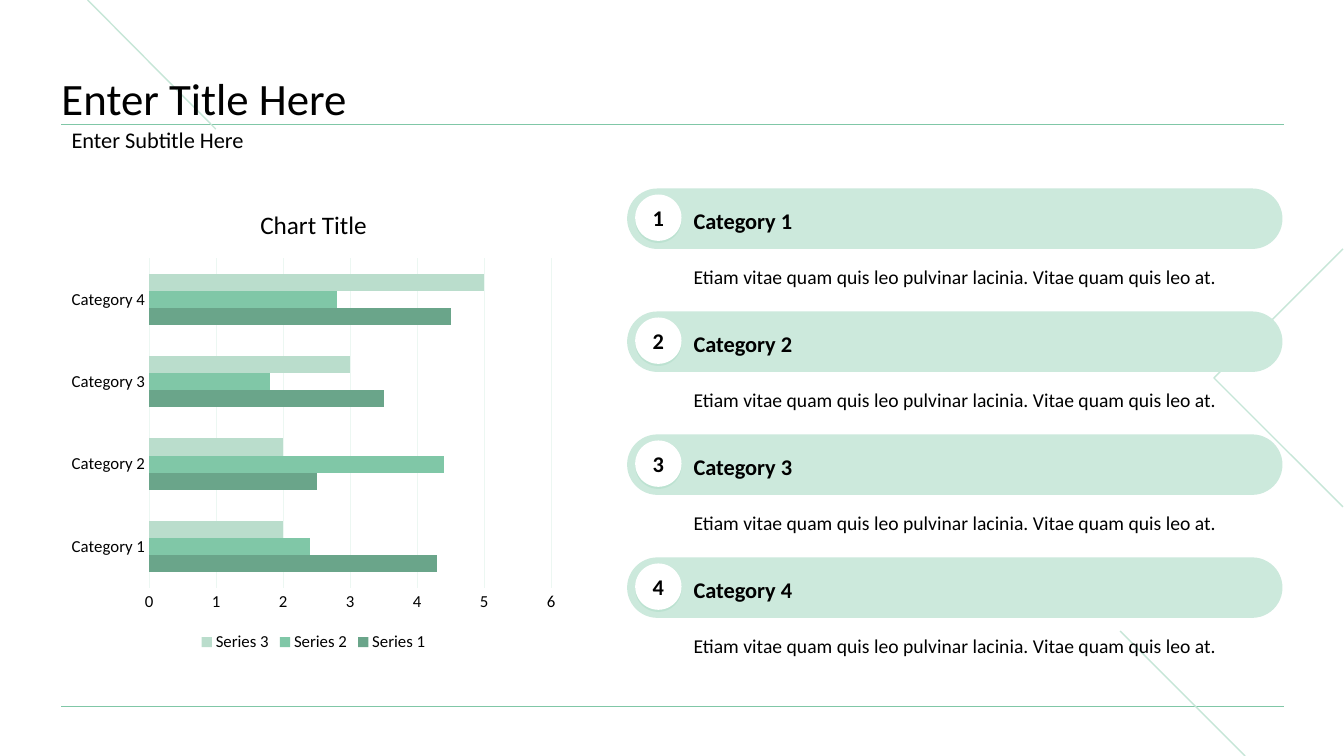
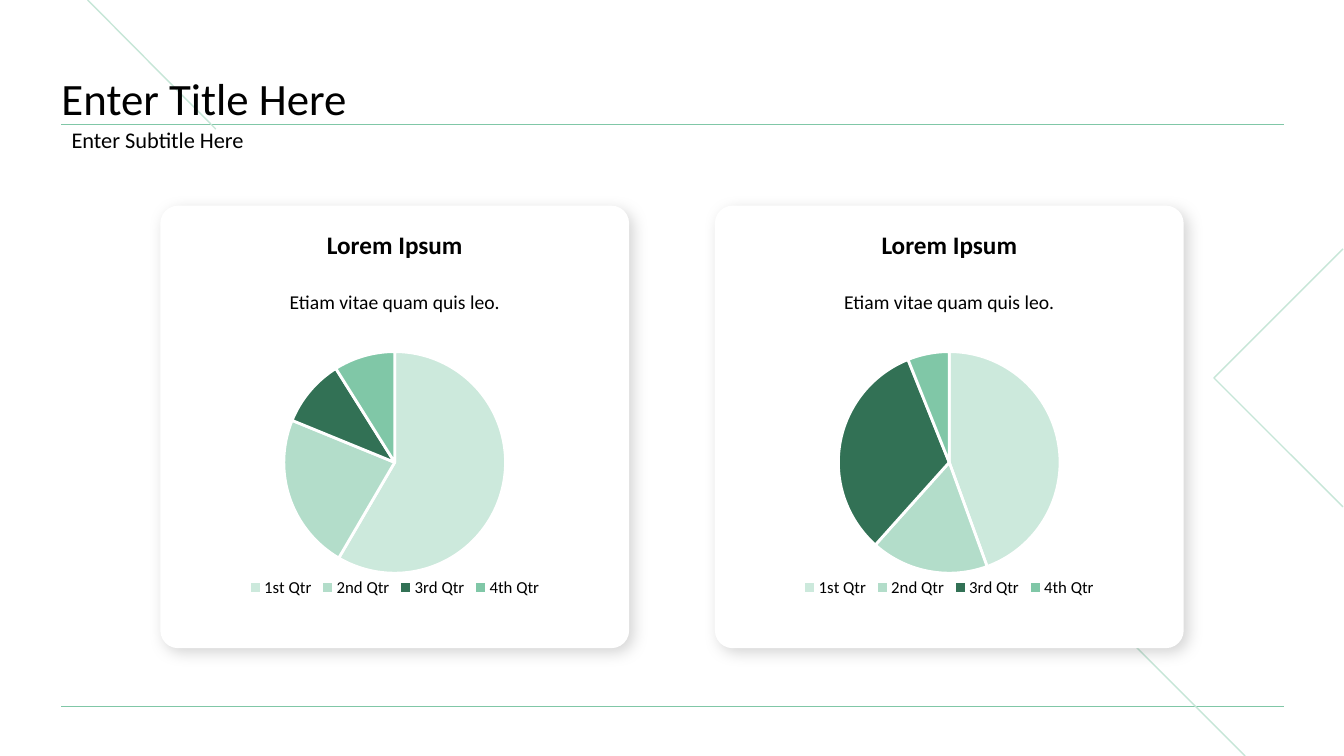
"""Build two green business slides: a bar chart with a numbered list, and two pie cards."""
from lxml import etree
from pptx import Presentation
from pptx.chart.data import CategoryChartData
from pptx.dml.color import RGBColor
from pptx.enum import chart as ch, shapes as sh, text as tx
from pptx.oxml import ns, parse_xml
from pptx.util import Inches, Pt

BLACK = RGBColor(0x00, 0x00, 0x00)
WHITE = RGBColor(0xFF, 0xFF, 0xFF)
GREEN = RGBColor(0x80, 0xC7, 0xA7)
DARK_GREEN = RGBColor(0x32, 0x71, 0x55)
MOSS = RGBColor(0x6A, 0xA5, 0x8A)
SAGE = RGBColor(0xBA, 0xDD, 0xCC)
MINT = RGBColor(0xB3, 0xDD, 0xCA)
PALE = RGBColor(0xCC, 0xE9, 0xDC)
ACCENT = RGBColor(0xC6, 0xE6, 0xD7)
GRID = RGBColor(0xEC, 0xF7, 0xF2)
FONT = "Calibri"


def write(shape, text, size=14, bold=False, align=tx.PP_ALIGN.LEFT,
          anchor=tx.MSO_ANCHOR.TOP, spacing=1.0, before=0, margins=(0.1, 0.05)):
    frame = shape.text_frame
    paragraph = frame.add_paragraph() if frame.text else frame.paragraphs[0]
    frame.word_wrap = True
    frame.auto_size = tx.MSO_AUTO_SIZE.NONE
    frame.vertical_anchor = anchor
    frame.margin_left = frame.margin_right = Inches(margins[0])
    frame.margin_top = frame.margin_bottom = Inches(margins[1])
    paragraph.alignment = align
    paragraph.line_spacing = spacing
    paragraph.space_before = Pt(before)
    run = paragraph.add_run()
    run.text = text
    run.font.name, run.font.size, run.font.bold = FONT, Pt(size), bold
    run.font.color.rgb = BLACK
    return paragraph


def paint(shape, fill, shadow=None):
    shape.fill.solid()
    shape.fill.fore_color.rgb = fill
    shape.line.fill.background()
    shape.shadow.inherit = False
    if shadow:
        color, alpha, blur, distance, angle = shadow
        effects = shape.element.spPr.find(ns.qn("a:effectLst"))
        outer = etree.SubElement(effects, ns.qn("a:outerShdw"), blurRad=str(Pt(blur)),
                                 dist=str(Pt(distance)), dir=str(angle * 60000),
                                 algn="ctr", rotWithShape="0")
        tint = etree.SubElement(outer, ns.qn("a:srgbClr"), val=str(color))
        etree.SubElement(tint, ns.qn("a:alpha"), val=str(alpha * 1000))


prs = Presentation()
prs.slide_width, prs.slide_height = Inches(13.33), Inches(7.5)
layout = prs.slide_layouts[1]
for placeholder in list(layout.placeholders):
    if placeholder.placeholder_format.idx > 1:
        layout.shapes.element.remove(placeholder.element)
for placeholder, (top, height) in zip(layout.placeholders, ((0.44, 0.8), (1.23, 0.34))):
    placeholder.left, placeholder.top = Inches(0.61), Inches(top)
    placeholder.width, placeholder.height = Inches(12.12), Inches(height)

slides = [prs.slides.add_slide(layout) for _ in range(2)]
bar_slide, pie_slide = slides

decor = []
for ends, color, width in (
    ((0.61, 7.01, 12.73, 7.01), GREEN, 0.5),
    ((0.61, 1.23, 12.73, 1.23), GREEN, 0.5),
    ((11.11, 6.26, 12.35, 7.5), ACCENT, 1),
    ((0.87, 0, 2.14, 1.28), ACCENT, 1),
):
    rule = bar_slide.shapes.add_connector(sh.MSO_CONNECTOR.STRAIGHT, *map(Inches, ends))
    rule.line.color.rgb, rule.line.width = color, Pt(width)
    etree.SubElement(rule.element.spPr, ns.qn("a:effectLst"))
    decor.append(rule)
outline = bar_slide.shapes.build_freeform(Inches(13.32), Inches(2.47))
outline.add_line_segments([(Inches(12.04), Inches(3.75)), (Inches(13.32), Inches(5.03))],
                          close=False)
chevron = outline.convert_to_shape()
chevron.fill.background()
chevron.line.color.rgb, chevron.line.width = ACCENT, Pt(1)
chevron.shadow.inherit = False
decor.append(chevron)
for position, part in enumerate(decor, 2):
    layout.shapes.element.insert(position, part.element)

for slide in slides:
    title, subtitle = slide.placeholders
    write(title, "Enter Title Here", size=32, anchor=tx.MSO_ANCHOR.BOTTOM,
          spacing=0.9, margins=(0, 0))
    line = write(subtitle, "Enter Subtitle Here", size=16,
                 anchor=tx.MSO_ANCHOR.MIDDLE, spacing=0.9)
    properties = line._p.get_or_add_pPr()
    properties.set("marL", "0")
    properties.set("indent", "0")
    etree.SubElement(properties, ns.qn("a:buNone"))

categories = [f"Category {number}" for number in range(1, 5)]
bar_data = CategoryChartData()
bar_data.categories = categories
bar_data.add_series("Series 1", (4.3, 2.5, 3.5, 4.5))
bar_data.add_series("Series 2", (2.4, 4.4, 1.8, 2.8))
bar_data.add_series("Series 3", (2, 2, 3, 5))
bars = bar_slide.shapes.add_chart(ch.XL_CHART_TYPE.BAR_CLUSTERED,
                                  *map(Inches, (0.61, 1.87, 5, 4.64)), bar_data).chart
charts = [bars]
bars.has_title = True
heading = bars.chart_title.text_frame
heading.text = "Chart Title"
heading_font = heading.paragraphs[0].runs[0].font
heading_font.name, heading_font.size, heading_font.bold = FONT, Pt(18), False
heading_font.color.rgb = BLACK
bars.plots[0].gap_width, bars.plots[0].overlap = 182, 0
bars.plots[0].vary_by_categories = False
for series, color in zip(bars.plots[0].series, (MOSS, GREEN, SAGE)):
    series.format.fill.solid()
    series.format.fill.fore_color.rgb = color
for axis in (bars.category_axis, bars.value_axis):
    axis.major_tick_mark = axis.minor_tick_mark = ch.XL_TICK_MARK.NONE
    labels = axis.tick_labels.font
    labels.name, labels.size, labels.color.rgb = FONT, Pt(12), BLACK
bars.category_axis.format.line.color.rgb = GRID
bars.category_axis.format.line.width = Pt(0.75)
bars.value_axis.format.line.fill.background()
bars.value_axis.minimum_scale, bars.value_axis.maximum_scale = 0, 6
bars.value_axis.major_unit = 1
gridlines = bars.value_axis.major_gridlines.format.line
gridlines.color.rgb, gridlines.width = GRID, Pt(0.75)

for index, category in enumerate(categories):
    top = 1.87 + 1.22 * index
    detail = bar_slide.shapes.add_textbox(*map(Inches, (6.78, top + 0.59, 5.95, 0.39)))
    write(detail, "Etiam vitae quam quis leo pulvinar lacinia. Vitae quam quis leo at.",
          spacing=1.5)
    band = bar_slide.shapes.add_shape(sh.MSO_SHAPE.ROUNDED_RECTANGLE,
                                      *map(Inches, (6.22, top, 6.5, 0.6)))
    band.adjustments[0] = 0.5
    paint(band, PALE)
    badge = bar_slide.shapes.add_shape(sh.MSO_SHAPE.OVAL,
                                       *map(Inches, (6.3, top + 0.06, 0.46, 0.46)))
    paint(badge, WHITE, shadow=(GREEN, 20, 0, 1.5, 90))
    write(badge, str(index + 1), size=16, bold=True, align=tx.PP_ALIGN.CENTER,
          anchor=tx.MSO_ANCHOR.MIDDLE, margins=(0.1, 0.1))
    label = bar_slide.shapes.add_textbox(*map(Inches, (6.78, top + 0.16, 4.79, 0.27)))
    write(label, category, size=16, bold=True, anchor=tx.MSO_ANCHOR.MIDDLE,
          spacing=1.15, margins=(0.1, 0.1))

for left, quarters in ((1.59, (59, 23, 10, 9)), (7.09, (44, 17, 32, 6))):
    card = pie_slide.shapes.add_shape(sh.MSO_SHAPE.ROUNDED_RECTANGLE,
                                      *map(Inches, (left, 2.04, 4.65, 4.39)))
    card.adjustments[0] = 0.04
    paint(card, WHITE, shadow=(BLACK, 16, 11, 4, 45))
    pie_data = CategoryChartData()
    pie_data.categories = ["1st Qtr", "2nd Qtr", "3rd Qtr", "4th Qtr"]
    pie_data.add_series("Series 1", quarters)
    pie = pie_slide.shapes.add_chart(ch.XL_CHART_TYPE.PIE,
                                     *map(Inches, (left + 0.26, 3.15, 4.13, 2.82)),
                                     pie_data).chart
    charts.append(pie)
    pie.has_title = False
    pie.plots[0].vary_by_categories = True
    for number, color in enumerate((PALE, MINT, DARK_GREEN, GREEN)):
        slice_format = pie.plots[0].series[0].points[number].format
        slice_format.fill.solid()
        slice_format.fill.fore_color.rgb = color
        slice_format.line.color.rgb, slice_format.line.width = WHITE, Pt(2)
    plot_area = pie.element.find(".//" + ns.qn("c:plotArea"))
    for automatic in plot_area.findall(ns.qn("c:layout")):
        plot_area.remove(automatic)
    plot_area.insert(0, parse_xml(
        f'<c:layout {ns.nsdecls("c")}><c:manualLayout><c:layoutTarget val="inner"/>'
        '<c:xMode val="edge"/><c:yMode val="edge"/><c:x val="0.11"/><c:y val="0.12"/>'
        '<c:w val="0.78"/><c:h val="0.78"/></c:manualLayout></c:layout>'))
    caption = pie_slide.shapes.add_textbox(*map(Inches, (left + 0.85, 2.23, 2.95, 0.93)))
    for text, size, bold, before in (("Lorem Ipsum", 18, True, 0),
                                     ("Etiam vitae quam quis leo.", 14, False, 22)):
        write(caption, text, size=size, bold=bold, before=before,
              align=tx.PP_ALIGN.CENTER, anchor=tx.MSO_ANCHOR.MIDDLE, margins=(0.13, 0.13))

for chart in charts:
    chart.font.name, chart.font.size = FONT, Pt(10)
    chart.has_legend = True
    chart.legend.position = ch.XL_LEGEND_POSITION.BOTTOM
    chart.legend.include_in_layout = False
    legend_font = chart.legend.font
    legend_font.name, legend_font.size, legend_font.color.rgb = FONT, Pt(12), BLACK

prs.save("out.pptx")
